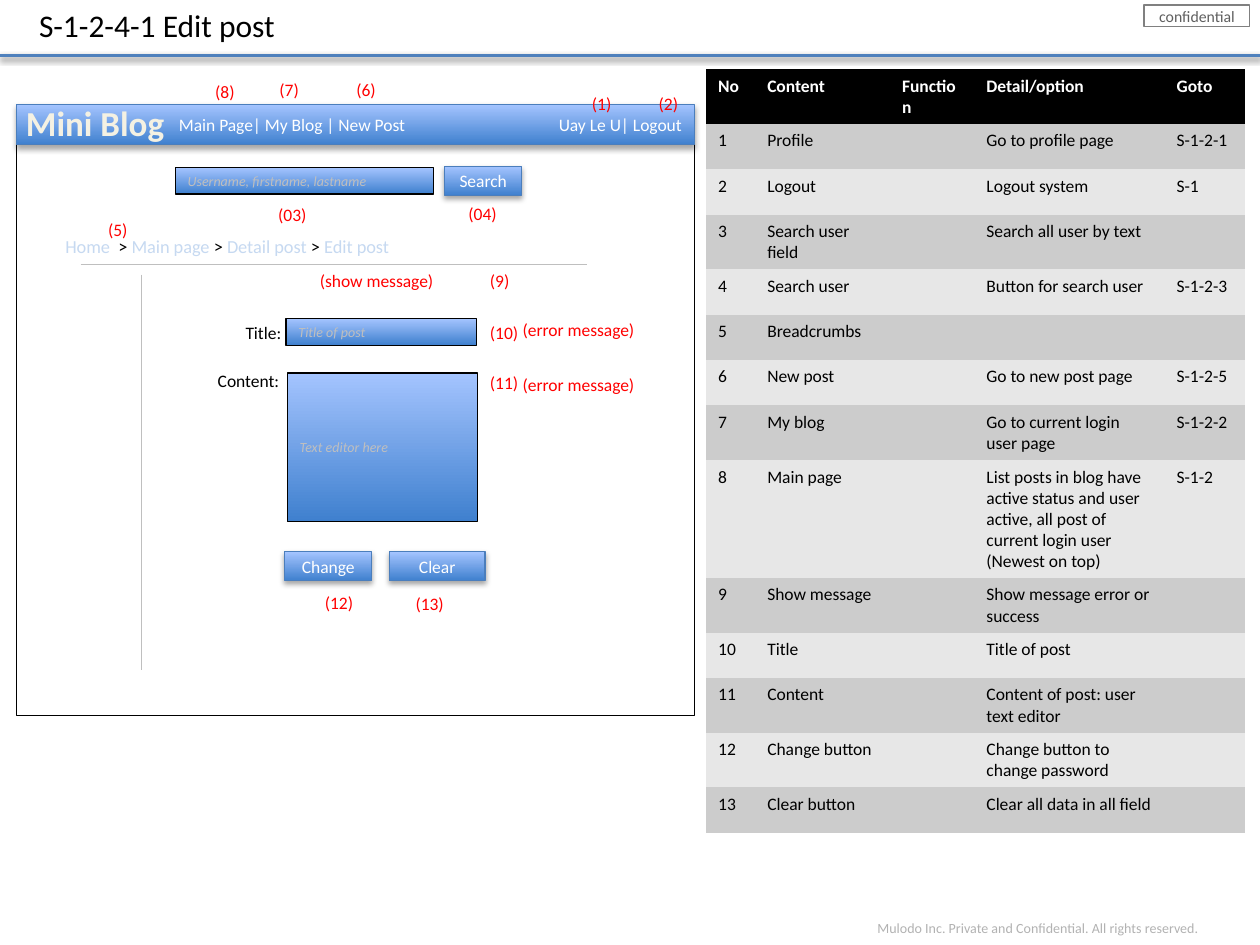
from dataclasses import dataclass

from lxml import etree
from pptx import Presentation
from pptx.dml.color import RGBColor
from pptx.enum.shapes import MSO_CONNECTOR, MSO_SHAPE
from pptx.enum.text import MSO_ANCHOR, MSO_AUTO_SIZE, PP_ALIGN
from pptx.oxml import parse_xml
from pptx.oxml.ns import nsdecls, qn
from pptx.util import Inches, Pt

RECTANGLE = MSO_SHAPE.RECTANGLE
STRAIGHT = MSO_CONNECTOR.STRAIGHT
TOP, MIDDLE = MSO_ANCHOR.TOP, MSO_ANCHOR.MIDDLE
LEFT, CENTER = PP_ALIGN.LEFT, PP_ALIGN.CENTER
FIT_SHAPE, NO_FIT = MSO_AUTO_SIZE.SHAPE_TO_FIT_TEXT, MSO_AUTO_SIZE.NONE

BLACK = RGBColor(0x00, 0x00, 0x00)
WHITE = RGBColor(0xFF, 0xFF, 0xFF)
RED = RGBColor(0xFF, 0x00, 0x00)
CREAM = RGBColor(0xF4, 0xF1, 0xE3)
PALE_BLUE = RGBColor(0xC6, 0xD9, 0xF1)
RULE_BLUE = RGBColor(0x4F, 0x81, 0xBD)
EDGE_BLUE = RGBColor(0x4B, 0x7E, 0xBC)
GRADIENT = (RGBColor(0x3F, 0x80, 0xCE), RGBColor(0xA4, 0xC4, 0xFF))
GRAY = RGBColor(0x80, 0x80, 0x80)
DARK_GRAY = RGBColor(0x5F, 0x5F, 0x5F)
FOOTER_GRAY = RGBColor(0xB2, 0xB2, 0xB2)
HINT_GRAY = RGBColor(0xBF, 0xBF, 0xBF)
BANDS = (RGBColor(0xCC, 0xCC, 0xCC), RGBColor(0xE7, 0xE7, 0xE7))
NO_STYLE = "{2D5ABB26-0587-4C30-8999-92F81FD0307C}"


@dataclass
class Box:
    left: float
    top: float
    width: float
    height: float

    def lengths(self) -> list:
        return [Inches(v) for v in (self.left, self.top, self.width, self.height)]


@dataclass
class Label:
    text: str
    box: Box
    color: RGBColor = RED
    size: float = 10
    align: PP_ALIGN = LEFT


@dataclass
class Panel:
    text: str
    box: Box
    is_button: bool


def add_run(paragraph, text: str, size: float, color: RGBColor, bold=False, italic=False):
    run = paragraph.add_run()
    run.text = text
    font = run.font
    font.name, font.size, font.bold, font.italic = "Calibri", Pt(size), bold, italic
    font.color.rgb = color
    return run


def add_shadow(shape, opacity: int, distance: float) -> None:
    properties = shape._element.spPr
    for effects in properties.findall(qn("a:effectLst")):
        properties.remove(effects)
    properties.append(parse_xml(
        f'<a:effectLst {nsdecls("a")}><a:outerShdw blurRad="{Pt(3.1)}" '
        f'dist="{Pt(distance)}" dir="5400000" rotWithShape="0"><a:srgbClr val="000000">'
        f'<a:alpha val="{opacity * 1000}"/></a:srgbClr></a:outerShdw></a:effectLst>'))


def add_rule(slide, start: tuple, end: tuple, color: RGBColor, width: float):
    rule = slide.shapes.add_connector(STRAIGHT, *map(Inches, start + end))
    rule.line.color.rgb, rule.line.width = color, Pt(width)
    etree.SubElement(rule._element.spPr, qn("a:effectLst"))
    return rule


def add_rectangle(slide, box: Box, line: RGBColor, gradient: bool):
    shape = slide.shapes.add_shape(RECTANGLE, *box.lengths())
    shape.shadow.inherit = False
    shape.line.color.rgb, shape.line.width = line, Pt(0.75)
    if gradient:
        shape.fill.gradient()
        shape.fill.gradient_angle = 90
        for stop, color in zip(shape.fill.gradient_stops, GRADIENT):
            stop.color.rgb = color
    else:
        shape.fill.solid()
        shape.fill.fore_color.rgb = WHITE
    shape.text_frame.vertical_anchor = MIDDLE
    return shape


def add_panel(slide, panel: Panel) -> None:
    shape = add_rectangle(slide, panel.box, EDGE_BLUE if panel.is_button else BLACK, True)
    paragraph = shape.text_frame.paragraphs[0]
    if panel.is_button:
        add_shadow(shape, 35, 1.8)
        paragraph.alignment = CENTER
        add_run(paragraph, panel.text, 10, WHITE)
    else:
        paragraph.alignment = LEFT
        add_run(paragraph, panel.text, 8, HINT_GRAY, italic=True)


def add_text(slide, box: Box, align: PP_ALIGN = LEFT):
    frame = slide.shapes.add_textbox(*box.lengths()).text_frame
    frame.word_wrap, frame.auto_size = False, FIT_SHAPE
    paragraph = frame.paragraphs[0]
    paragraph.alignment = align
    return paragraph


def add_label(slide, label: Label):
    paragraph = add_text(slide, label.box, label.align)
    return add_run(paragraph, label.text, label.size, label.color)


def add_navigation_bar(slide) -> None:
    bar = add_rectangle(slide, Box(0.13, 0.83, 5.38, 0.32), EDGE_BLUE, True)
    add_shadow(bar, 35, 1.8)
    bar.text_frame.margin_left = Inches(1.29)
    bar.text_frame.margin_right = Inches(0.05)
    paragraph = bar.text_frame.paragraphs[0]
    paragraph.alignment = LEFT
    tabs = etree.SubElement(paragraph._p.get_or_add_pPr(), qn("a:tabLst"))
    etree.SubElement(tabs, qn("a:tab"), pos=str(Inches(3.99)), algn="r")
    add_run(paragraph, "Main Page| My Blog | New Post\tUay Le U| Logout", 10, WHITE)
    logo = add_text(slide, Box(0.1, 0.76, 1.31, 0.44), CENTER)
    run = add_run(logo, "Mini Blog", 20, CREAM, bold=True)
    run._r.get_or_add_rPr().insert(0, parse_xml(
        f'<a:ln {nsdecls("a")} w="{Pt(1)}"><a:solidFill><a:srgbClr val="054697"/>'
        '</a:solidFill></a:ln>'))


def add_item_table(slide, rows: list) -> None:
    frame = slide.shapes.add_table(len(rows), 5, *Box(5.6, 0.55, 4.27, 5.04).lengths())
    table = frame.table
    table.first_row = table.horz_banding = False
    table._tbl.tblPr.find(qn("a:tableStyleId")).text = NO_STYLE
    for column, width in zip(table.columns, (0.39, 1.07, 0.67, 1.51, 0.64)):
        column.width = Inches(width)
    for index, values in enumerate(rows):
        header = index == 0
        table.rows[index].height = Inches(0.36)
        for cell, value in zip(table.rows[index].cells, values):
            cell.fill.solid()
            cell.fill.fore_color.rgb = BLACK if header else BANDS[(index - 1) % 2]
            paragraph = cell.text_frame.paragraphs[0]
            if value:
                add_run(paragraph, value, 10, WHITE if header else BLACK, bold=header)
            else:
                paragraph.font.size = Pt(10)


ITEMS = [
    ("Profile", "Go to profile page", "S-1-2-1"),
    ("Logout", "Logout system", "S-1"),
    ("Search user field", "Search all user by text", ""),
    ("Search user", "Button for search user", "S-1-2-3"),
    ("Breadcrumbs", "", ""),
    ("New post", "Go to new post page", "S-1-2-5"),
    ("My blog", "Go to current login user page", "S-1-2-2"),
    ("Main page", "List posts in blog have active status and user active, "
     "all post of current login user (Newest on top)", "S-1-2"),
    ("Show message", "Show message error or success", ""),
    ("Title", "Title of post", ""),
    ("Content", "Content of post: user text editor", ""),
    ("Change button", "Change button to change password", ""),
    ("Clear button", "Clear all data in all field", ""),
]
PANELS = [
    Panel("Username, firstname, lastname", Box(1.39, 1.33, 2.05, 0.21), False),
    Panel("Search", Box(3.53, 1.32, 0.61, 0.23), True),
    Panel("Title of post", Box(2.27, 2.53, 1.51, 0.21), False),
    Panel("Text editor here", Box(2.28, 2.96, 1.51, 1.18), False),
    Panel("Change", Box(2.26, 4.38, 0.69, 0.23), True),
    Panel("Clear", Box(3.09, 4.38, 0.76, 0.23), True),
]
MARKERS = [
    ("(1)", 4.6, 0.69), ("(2)", 5.13, 0.69), ("(03)", 2.11, 1.57), ("(04)", 3.62, 1.56),
    ("(5)", 0.76, 1.69), ("(6)", 2.73, 0.58), ("(7)", 2.12, 0.58), ("(8)", 1.61, 0.59),
    ("(9)", 3.79, 2.09), ("(10)", 3.79, 2.51), ("(11)", 3.79, 2.9), ("(12)", 2.48, 4.65),
    ("(13)", 3.2, 4.66),
]
LABELS = [
    Label("Mulodo Inc. Private and Confidential. All rights reserved.",
          Box(6.86, 7.25, 2.76, 0.24), FOOTER_GRAY, 8, CENTER),
    Label("(show message)", Box(2.44, 2.09, 1.12, 0.27)),
    Label("(error message)", Box(4.05, 2.48, 1.1, 0.27)),
    Label("(error message)", Box(4.05, 2.92, 1.1, 0.27)),
    Label("Title:", Box(1.85, 2.51, 0.49, 0.27), BLACK),
    Label("Content:", Box(1.63, 2.89, 0.7, 0.27), BLACK),
]
BREADCRUMBS = [("Home ", " > "), ("Main page ", "> "), ("Detail post ", "> "), ("Edit post", "")]


def main() -> None:
    presentation = Presentation()
    presentation.slide_width, presentation.slide_height = Inches(10), Inches(7.5)
    slide = presentation.slides.add_slide(presentation.slide_layouts[5])

    title = slide.shapes.title
    title.left, title.top, title.width, title.height = Box(0.21, 0, 2.1, 0.4).lengths()
    title.text_frame.word_wrap, title.text_frame.auto_size = False, NO_FIT
    title.text_frame.vertical_anchor = TOP
    title.text_frame.paragraphs[0].alignment = LEFT
    add_run(title.text_frame.paragraphs[0], "S-1-2-4-1 Edit post", 18, BLACK)

    stamp = add_rectangle(slide, Box(9.08, 0.04, 0.84, 0.17), GRAY, False)
    stamp.text_frame.word_wrap = False
    stamp.text_frame.paragraphs[0].alignment = CENTER
    add_run(stamp.text_frame.paragraphs[0], "confidential", 9, DARK_GRAY)
    add_shadow(add_rule(slide, (0, 0.44), (10, 0.44), RULE_BLUE, 2), 38, 1.6)

    add_rectangle(slide, Box(0.13, 0.89, 5.38, 4.79), BLACK, False)
    add_navigation_bar(slide)
    add_rule(slide, (0.64, 2.1), (4.66, 2.1), HINT_GRAY, 0.25)
    add_rule(slide, (1.12, 2.18), (1.12, 5.32), HINT_GRAY, 0.25)
    breadcrumb = add_text(slide, Box(0.42, 1.82, 2.82, 0.28))
    for page, separator in BREADCRUMBS:
        add_run(breadcrumb, page, 10.5, PALE_BLUE)
        if separator:
            add_run(breadcrumb, separator, 10.5, BLACK)

    for panel in PANELS:
        add_panel(slide, panel)
    for text, left, top in MARKERS:
        width = 0.36 if len(text) == 3 else 0.43
        add_label(slide, Label(text, Box(left, top, width, 0.27)))
    for label in LABELS:
        add_label(slide, label)

    header = ("No", "Content", "Function", "Detail/option", "Goto")
    body = [(str(number), content, "", detail, goto)
            for number, (content, detail, goto) in enumerate(ITEMS, 1)]
    add_item_table(slide, [header] + body)
    presentation.save("out.pptx")


if __name__ == "__main__":
    main()
